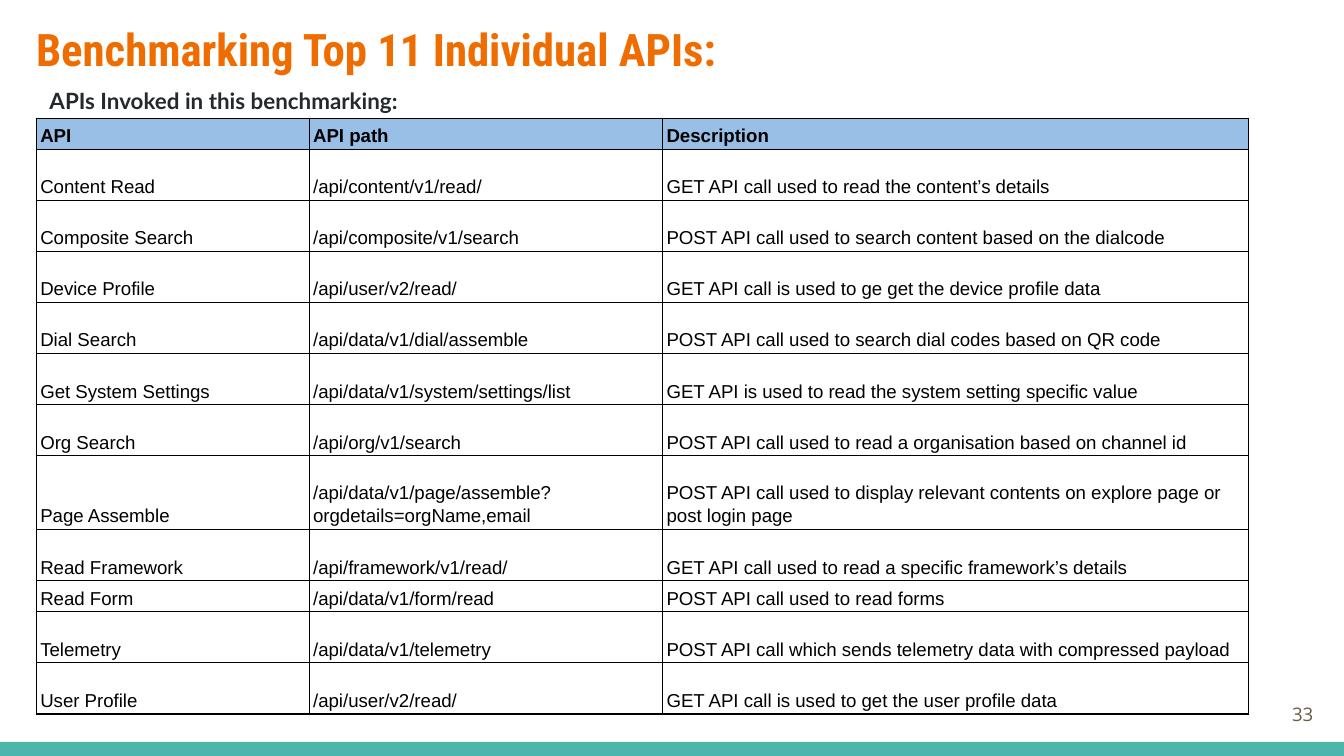
"""Build the slide that lists the benchmarked APIs."""
from lxml import etree
from pptx import Presentation, util as u
from pptx.dml.color import RGBColor
from pptx.enum import shapes, text
from pptx.oxml import ns

WIDE = 10
HIGH = WIDE * 9 / 16
LEFT, TOP = 0.27, 0.88
COLS = [2.03, 2.63, 4.36]
TALL = {0: 0.22, 7: 0.55, 9: 0.23}
ROWS = [
    ("API", "API path", "Description"),
    ("Content Read", "/api/content/v1/read/",
     "GET API call used to read the content’s details"),
    ("Composite Search", "/api/composite/v1/search",
     "POST API call used to search content based on the dialcode"),
    ("Device Profile", "/api/user/v2/read/",
     "GET API call is used to ge get the device profile data"),
    ("Dial Search", "/api/data/v1/dial/assemble",
     "POST API call used to search dial codes based on QR code"),
    ("Get System Settings", "/api/data/v1/system/settings/list",
     "GET API is used to read the system setting specific value"),
    ("Org Search", "/api/org/v1/search",
     "POST API call used to read a organisation based on channel id"),
    ("Page Assemble", "/api/data/v1/page/assemble?orgdetails=orgName,email",
     "POST API call used to display relevant contents on explore page or post login page"),
    ("Read Framework", "/api/framework/v1/read/",
     "GET API call used to read a specific framework’s details"),
    ("Read Form", "/api/data/v1/form/read", "POST API call used to read forms"),
    ("Telemetry", "/api/data/v1/telemetry",
     "POST API call which sends telemetry data with compressed payload"),
    ("User Profile", "/api/user/v2/read/",
     "GET API call is used to get the user profile data"),
]


def paint(part, tone):
    part.fill.solid()
    part.fill.fore_color.rgb = RGBColor.from_string(tone)


def write(frame, words, size, face, tone, bold=False, space=1.15):
    para = frame.paragraphs[0]
    para.line_spacing = space
    run = para.add_run()
    run.text = words
    run.font.size, run.font.name, run.font.bold = u.Pt(size), face, bold
    paint(run.font, tone)
    return para


deck = Presentation()
deck.slide_width, deck.slide_height = u.Inches(WIDE), u.Inches(HIGH)
slide = deck.slides.add_slide(deck.slide_layouts[6])

band = slide.shapes.add_shape(
    shapes.MSO_SHAPE.RECTANGLE, 0, u.Inches(5.52), u.Inches(WIDE), u.Inches(0.11))
band.shadow.inherit = False
paint(band, "4DB6AC")
band.line.fill.background()

LABELS = [
    ((0.17, 0, 8.41, 0.59), "Benchmarking Top 11 Individual APIs:",
     24, "Roboto Condensed", "EF6C00", True, 1.15),
    ((LEFT, 0.52, 3.96, 0.31), "APIs Invoked in this benchmarking:",
     12, "Lato", "24292E", True, 1.15),
    ((9.27, 5.1, 0.6, 0.43), "33", 10, "Open Sans", "695D46", False, 1),
]
for place, *style in LABELS:
    frame = slide.shapes.add_textbox(*map(u.Inches, place)).text_frame
    frame.word_wrap = True
    frame.margin_left = frame.margin_right = u.Inches(0.1)
    frame.margin_top = frame.margin_bottom = u.Inches(0.1)
    para = write(frame, *style)
frame.vertical_anchor = text.MSO_ANCHOR.MIDDLE
para.alignment = text.PP_ALIGN.RIGHT

tall = [TALL.get(r, 0.38) for r in range(len(ROWS))]
grid = slide.shapes.add_table(
    len(ROWS), len(COLS), u.Inches(LEFT), u.Inches(TOP),
    u.Inches(sum(COLS)), u.Inches(sum(tall))).table
for col, wide in zip(grid.columns, COLS):
    col.width = u.Inches(wide)
for r, line in enumerate(ROWS):
    grid.rows[r].height = u.Inches(tall[r])
    for c, words in enumerate(line):
        cell = grid.cell(r, c)
        cell.margin_left = cell.margin_right = u.Inches(0.03)
        cell.margin_top = cell.margin_bottom = u.Inches(0.02)
        cell.vertical_anchor = text.MSO_ANCHOR.BOTTOM
        write(cell.text_frame, words, 10, "Arial", "000000", r == 0)
        props = cell._tc.get_or_add_tcPr()
        for side in "LRTB":
            edge = etree.SubElement(props, ns.qn("a:ln" + side), w=str(u.Pt(0.75)))
            fill = etree.SubElement(edge, ns.qn("a:solidFill"))
            etree.SubElement(fill, ns.qn("a:srgbClr"), val="000000")
        if r == 0:
            paint(cell, "99BFE6")
        else:
            cell.fill.background()

deck.save("out.pptx")
